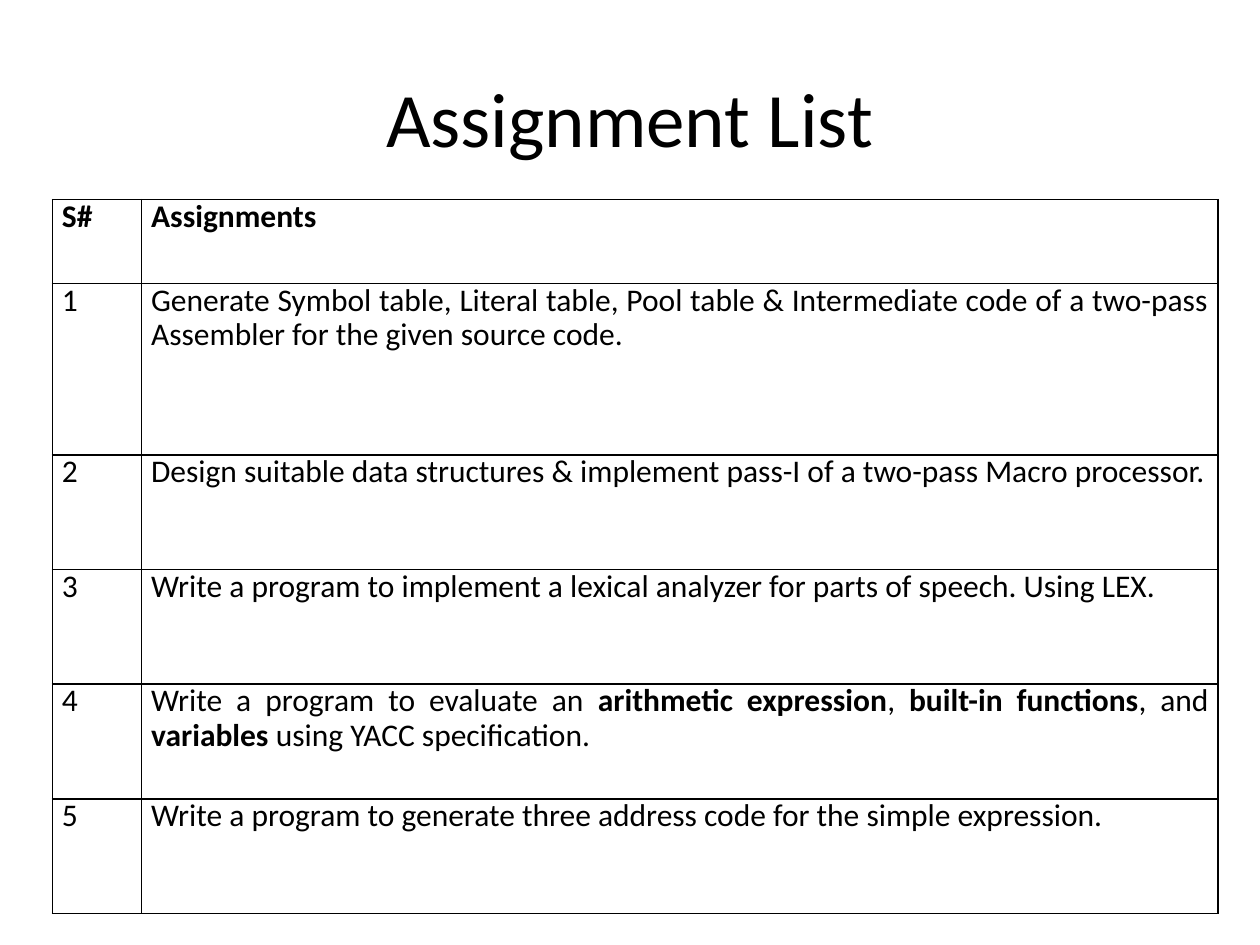
from pptx import Presentation
from pptx.dml.color import RGBColor as RGB
from pptx.enum.text import MSO_ANCHOR as Anchor, PP_ALIGN as Align
from pptx.oxml import parse_xml
from pptx.oxml.ns import nsdecls
from pptx.util import Pt

COLORS = {"ink": "000000", "paper": "FFFFFF"}
FONT = "Calibri"
TITLE = "Assignment List"
HEADER = ("S#", "Assignments ")
ASSIGNMENTS = [
    "Generate Symbol table, Literal table, Pool table & Intermediate code "
    "of a two-pass Assembler for the given source code.",
    "Design suitable data structures & implement pass-I of a two-pass Macro processor.",
    "Write a program to implement a lexical analyzer for parts of speech. Using LEX.",
    "Write a program to evaluate an **arithmetic expression**, "
    "**built-in functions**, and **variables** using YACC specification.",
    "Write a program to generate three address code for the simple expression.",
]
COL_WIDTHS = (51, 615)
ROW_HEIGHTS = (48, 98) + (65.5,) * 4


def set_font(p, size):
    p.font.name, p.font.size = FONT, Pt(size)
    p.font.color.rgb = RGB.from_string(COLORS["ink"])


def add_borders(cell):
    for i, side in enumerate(("lnL", "lnR", "lnT", "lnB")):
        line = parse_xml(
            f'<a:{side} {nsdecls("a")} w="{Pt(1)}"><a:solidFill>'
            f'<a:srgbClr val="{COLORS["ink"]}"/></a:solidFill></a:{side}>')
        cell._tc.get_or_add_tcPr().insert(i, line)


def fill_cell(cell, text, header):
    cell.fill.solid()
    cell.fill.fore_color.rgb = RGB.from_string(COLORS["paper"])
    cell.margin_left = cell.margin_right = Pt(5.4)
    cell.margin_top = cell.margin_bottom = 0
    p = cell.text_frame.paragraphs[0]
    p.alignment, p.line_spacing, p.space_before = Align.JUSTIFY, 0.9, Pt(10)
    set_font(p, 18)
    for i, part in enumerate(text.split("**")):
        r = p.add_run()
        r.text = part
        r.font.bold = header or i % 2 == 1
    add_borders(cell)


prs = Presentation()
prs.slide_width, prs.slide_height = Pt(720), Pt(540)
s = prs.slides.add_slide(prs.slide_layouts[6])

tf = s.shapes.add_textbox(Pt(36), Pt(21.6), Pt(648), Pt(90)).text_frame
tf.word_wrap = True
tf.vertical_anchor = Anchor.MIDDLE
p = tf.paragraphs[0]
p.text, p.alignment = TITLE, Align.CENTER
set_font(p, 44)

rows = [HEADER] + [(str(n), text) for n, text in enumerate(ASSIGNMENTS, 1)]
table = s.shapes.add_table(len(rows), len(HEADER), Pt(30), Pt(114),
                           Pt(sum(COL_WIDTHS)), Pt(sum(ROW_HEIGHTS))).table
table.horz_banding = False
for col, width in zip(table.columns, COL_WIDTHS):
    col.width = Pt(width)
for i, (row, height) in enumerate(zip(rows, ROW_HEIGHTS)):
    table.rows[i].height = Pt(height)
    for j, text in enumerate(row):
        fill_cell(table.cell(i, j), text, i == 0)

prs.save("out.pptx")
